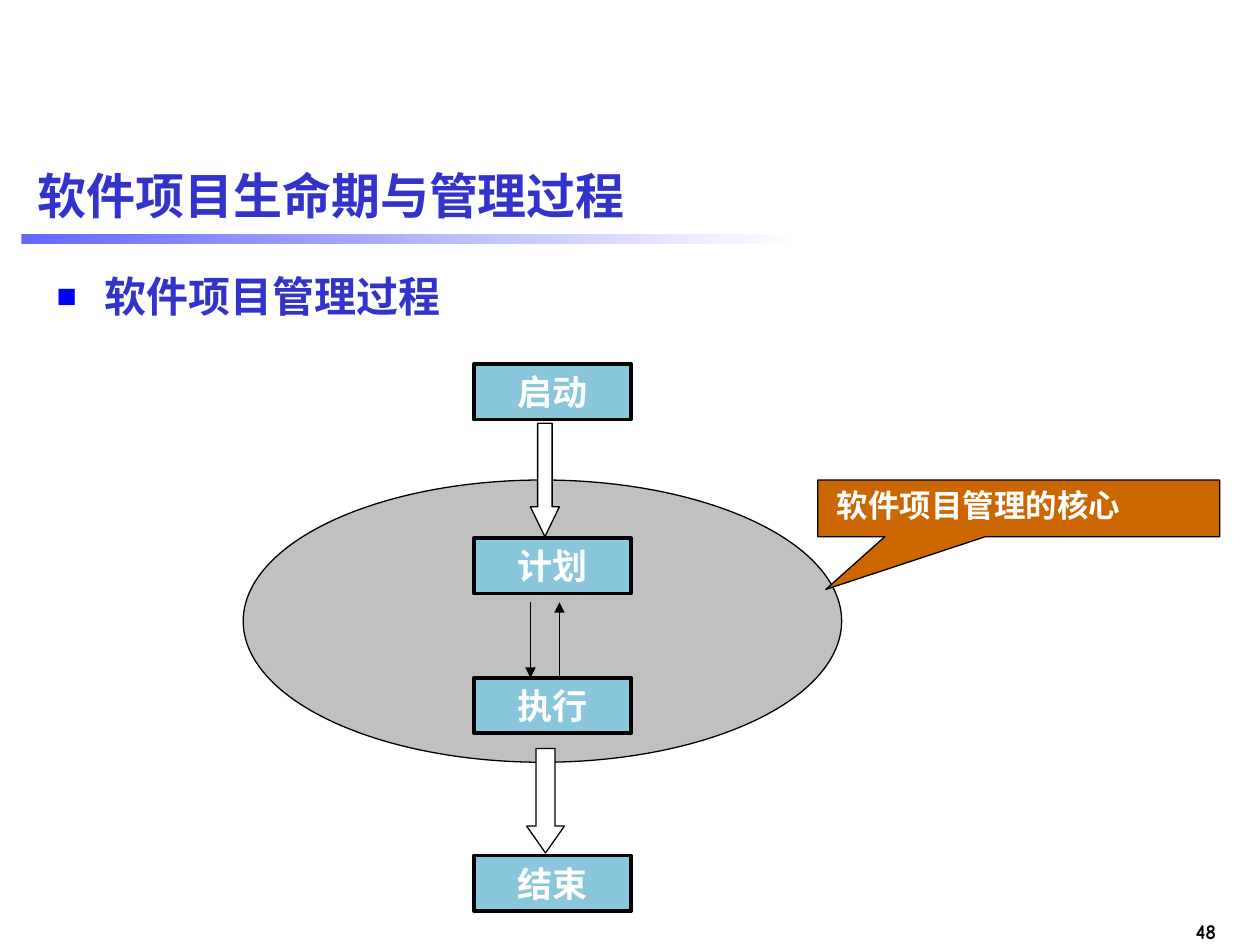
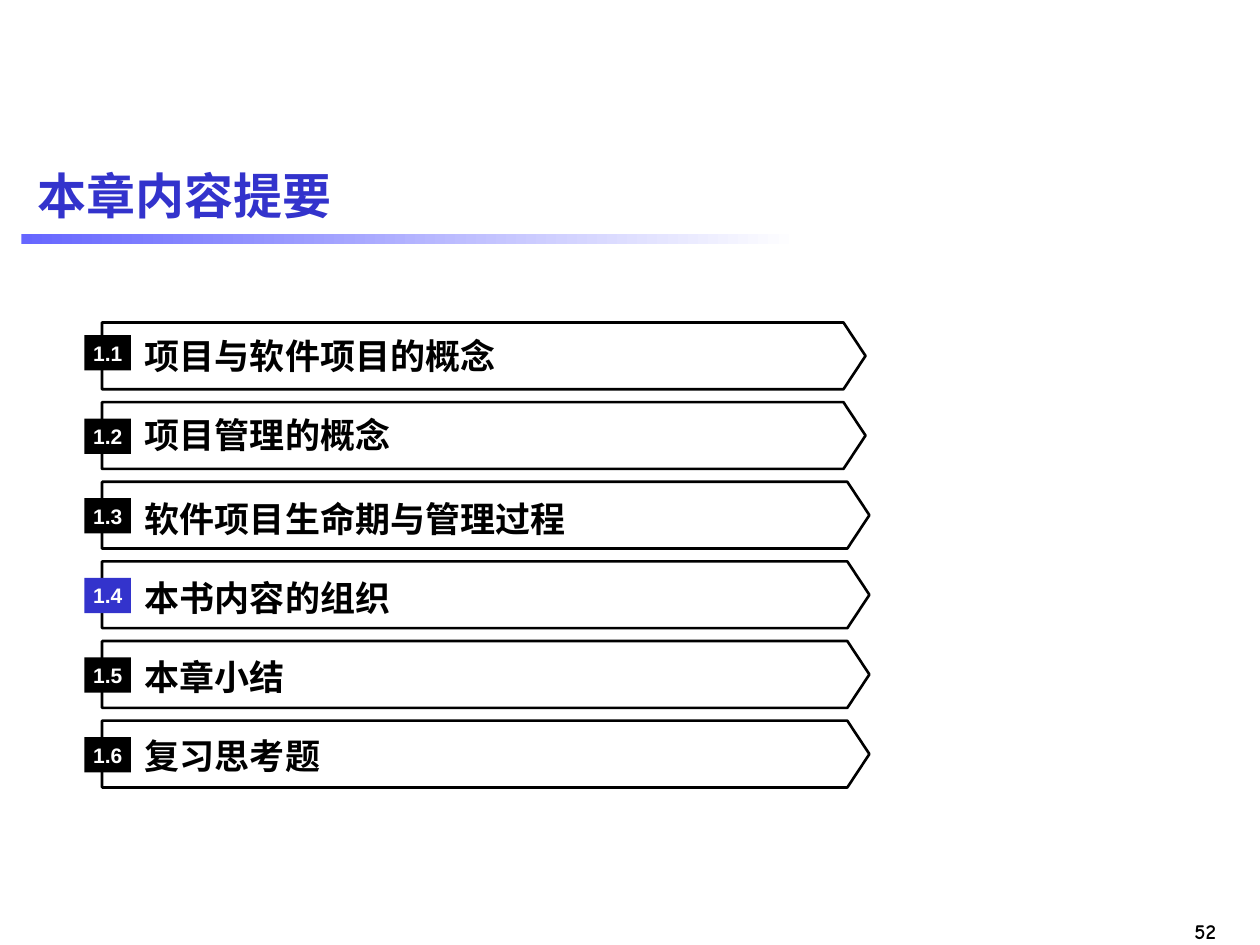
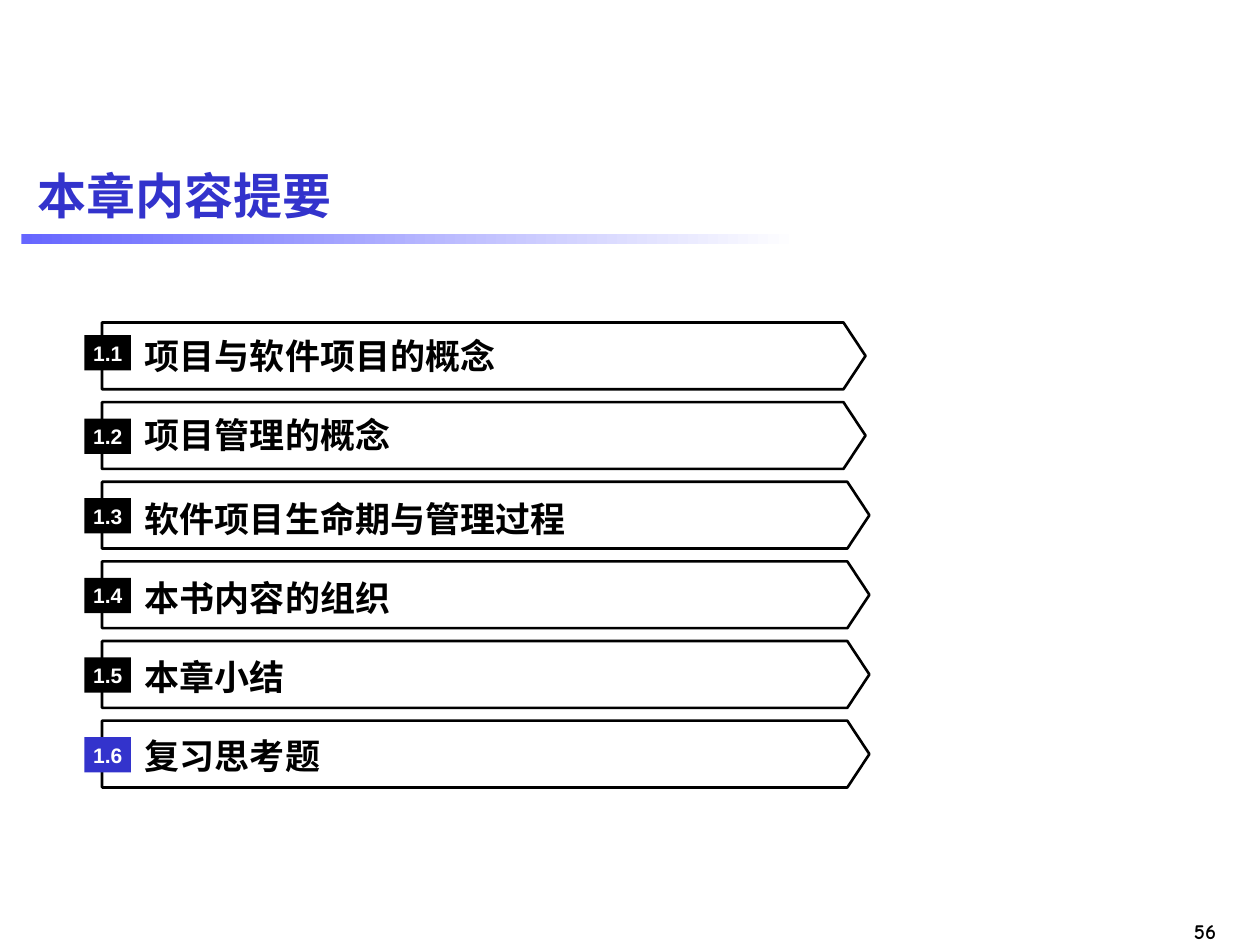
from lxml import etree
from pptx import Presentation
from pptx.dml.color import RGBColor
from pptx.enum.shapes import MSO_CONNECTOR, MSO_SHAPE as SHAPE
from pptx.enum.text import MSO_ANCHOR as ANCHOR, PP_ALIGN as ALIGN
from pptx.oxml.ns import qn
from pptx.util import Inches, Pt

BLACK = RGBColor(0x00, 0x00, 0x00)
WHITE = RGBColor(0xFF, 0xFF, 0xFF)
INDIGO = RGBColor(0x33, 0x33, 0xCC)
BAND_START = RGBColor(0x66, 0x66, 0xFF)
STEP_BLUE = RGBColor(0x8A, 0xC7, 0xDC)
CORE_GREY = RGBColor(0xC0, 0xC0, 0xC0)
CALLOUT_ORANGE = RGBColor(0xCC, 0x66, 0x00)
NO_INSETS = (0, 0, 0, 0)
DEFAULT_INSETS = (0.1, 0.05, 0.1, 0.05)

# section title, bar width, offsets of the label and the tag from the bar top
SECTIONS = [
    ("项目与软件项目的概念", 6.06, 0.06, 0.10),
    ("项目管理的概念", 6.06, 0.06, 0.13),
    ("软件项目生命期与管理过程", 6.09, 0.09, 0.13),
    ("本书内容的组织", 6.09, 0.09, 0.13),
    ("本章小结", 6.09, 0.08, 0.13),
    ("复习思考题", 6.09, 0.08, 0.13),
]
# step name and its top within the diagram
STEPS = [("启动", 0), ("计划", 1.38), ("执行", 2.49), ("结束", 3.9)]


def write(shape, text, size, color, font="Arial", align=ALIGN.LEFT,
          anchor=ANCHOR.TOP, insets=DEFAULT_INSETS, wrap=True):
    """Put one bold line of text in a shape and return its paragraph."""
    frame = shape.text_frame
    frame.text = text
    frame.word_wrap = wrap
    frame.vertical_anchor = anchor
    (frame.margin_left, frame.margin_top,
     frame.margin_right, frame.margin_bottom) = map(Inches, insets)
    paragraph = frame.paragraphs[0]
    paragraph.alignment = align
    run_font = paragraph.runs[0].font
    run_font.name, run_font.size, run_font.bold = font, Pt(size), True
    run_font.color.rgb = color
    return paragraph


def add_text(slide, box, text, size, color, **style):
    return write(slide.shapes.add_textbox(*map(Inches, box)), text, size, color, **style)


def add_figure(slide, kind, box, fill=None, line=None, adjustments=()):
    """Add a preset shape; line is its width in points, drawn in black."""
    figure = slide.shapes.add_shape(kind, *map(Inches, box))
    figure.shadow.inherit = False
    if fill is None:
        figure.fill.background()
    else:
        figure.fill.solid()
        figure.fill.fore_color.rgb = fill
    if line is None:
        figure.line.fill.background()
    else:
        figure.line.width = Pt(line)
        figure.line.color.rgb = BLACK
    for index, value in enumerate(adjustments):
        figure.adjustments[index] = value
    return figure


def add_thin_arrow(slide, x, start, end):
    arrow = slide.shapes.add_connector(
        MSO_CONNECTOR.STRAIGHT, Inches(x), Inches(start), Inches(x), Inches(end))
    arrow.line.width = Pt(0.75)
    arrow.line.color.rgb = BLACK
    properties = arrow.line._get_or_add_ln()
    etree.SubElement(properties, qn("a:tailEnd"), type="triangle")
    etree.SubElement(properties.getparent(), qn("a:effectLst"))


def add_slide(prs, title, number):
    """Start a slide with the shared title, gradient band and page number."""
    slide = prs.slides.add_slide(prs.slide_layouts[6])
    add_text(slide, (9.2, 7.24, 0.55, 0.3), str(number), 12, BLACK,
             font="Comic Neue", align=ALIGN.RIGHT, wrap=False)
    band = add_figure(slide, SHAPE.RECTANGLE, (0.17, 1.86, 6.17, 0.08))
    band.fill.gradient()
    band.fill.gradient_angle = 0
    for stop, color in zip(band.fill.gradient_stops, (BAND_START, WHITE)):
        stop.color.rgb = color
    add_text(slide, (0.2, 1.15, 9.61, 0.79), title, 28, INDIGO, anchor=ANCHOR.MIDDLE)
    return slide


def add_square_bullet(slide, box, text):
    paragraph = add_text(slide, box, text, 24, INDIGO)
    properties = paragraph._p.get_or_add_pPr()
    properties.set("marL", str(Inches(0.38)))
    properties.set("indent", str(-Inches(0.38)))
    bullet_color = etree.SubElement(properties, qn("a:buClr"))
    etree.SubElement(bullet_color, qn("a:srgbClr"), val="0000FF")
    etree.SubElement(properties, qn("a:buSzPct"), val="80000")
    etree.SubElement(properties, qn("a:buFont"), typeface="Arial")
    etree.SubElement(properties, qn("a:buChar"), char="■")


def add_process(slide, left, top):
    """Draw the four steps, with the core of the process in an ellipse."""
    add_figure(slide, SHAPE.OVAL, (left, top + 0.92, 4.75, 2.24), CORE_GREY, 0.75)
    for x, y, width, height, head in ((2.28, 0.47, 0.23, 0.9, 1.03),
                                      (2.25, 3.05, 0.3, 0.83, 0.71)):
        add_figure(slide, SHAPE.DOWN_ARROW, (left + x, top + y, width, height),
                   WHITE, 0.75, (0.5, head))
    callout = add_figure(slide, SHAPE.RECTANGULAR_CALLOUT,
                         (left + 4.56, top + 0.92, 3.19, 0.45),
                         CALLOUT_ORANGE, 0.75, (-0.48, 1.43))
    write(callout, "软件项目管理的核心", 18, WHITE, font="Times New Roman",
          insets=(0.15, 0.05, 0.1, 0.05))
    upper, lower = top + 1.89, top + 2.49
    add_thin_arrow(slide, left + 2.28, upper, lower)
    add_thin_arrow(slide, left + 2.51, lower, upper)
    for name, offset in STEPS:
        step = add_figure(slide, SHAPE.RECTANGLE,
                          (left + 1.83, top + offset, 1.25, 0.44), STEP_BLUE, 2)
        write(step, name, 20, WHITE, font="Arial Narrow",
              align=ALIGN.CENTER, anchor=ANCHOR.MIDDLE)


def add_agenda(slide, left, top, height, current):
    """Stack the section bars evenly and highlight the current tag."""
    bar_height = 0.53
    pitch = (height - bar_height) / (len(SECTIONS) - 1)
    for index, (title, width, label_offset, tag_offset) in enumerate(SECTIONS):
        y = top + index * pitch
        add_figure(slide, SHAPE.PENTAGON, (left + 0.14, y, width, bar_height),
                   line=1.5, adjustments=(0.33,))
        add_text(slide, (left + 0.42, y + label_offset, 5.4, 0.4), title, 20, BLACK,
                 font="Times New Roman", anchor=ANCHOR.MIDDLE, insets=(0.06, 0, 0, 0))
        tag = add_figure(slide, SHAPE.RECTANGLE, (left, y + tag_offset, 0.37, 0.28),
                         INDIGO if index + 1 == current else BLACK)
        write(tag, f"1.{index + 1}", 12, WHITE, align=ALIGN.CENTER,
              anchor=ANCHOR.MIDDLE, insets=NO_INSETS)


def main():
    prs = Presentation()
    prs.slide_width, prs.slide_height = Inches(10), Inches(7.5)

    process = add_slide(prs, "软件项目生命期与管理过程", 48)
    add_square_bullet(process, (0.35, 2.1, 9.45, 5.4), "软件项目管理过程")
    add_process(process, left=1.93, top=2.89)

    for number, current in ((52, 4), (56, 6)):
        agenda = add_slide(prs, "本章内容提要", number)
        add_agenda(agenda, left=0.67, top=2.56, height=3.69, current=current)

    prs.save("out.pptx")


if __name__ == "__main__":
    main()
